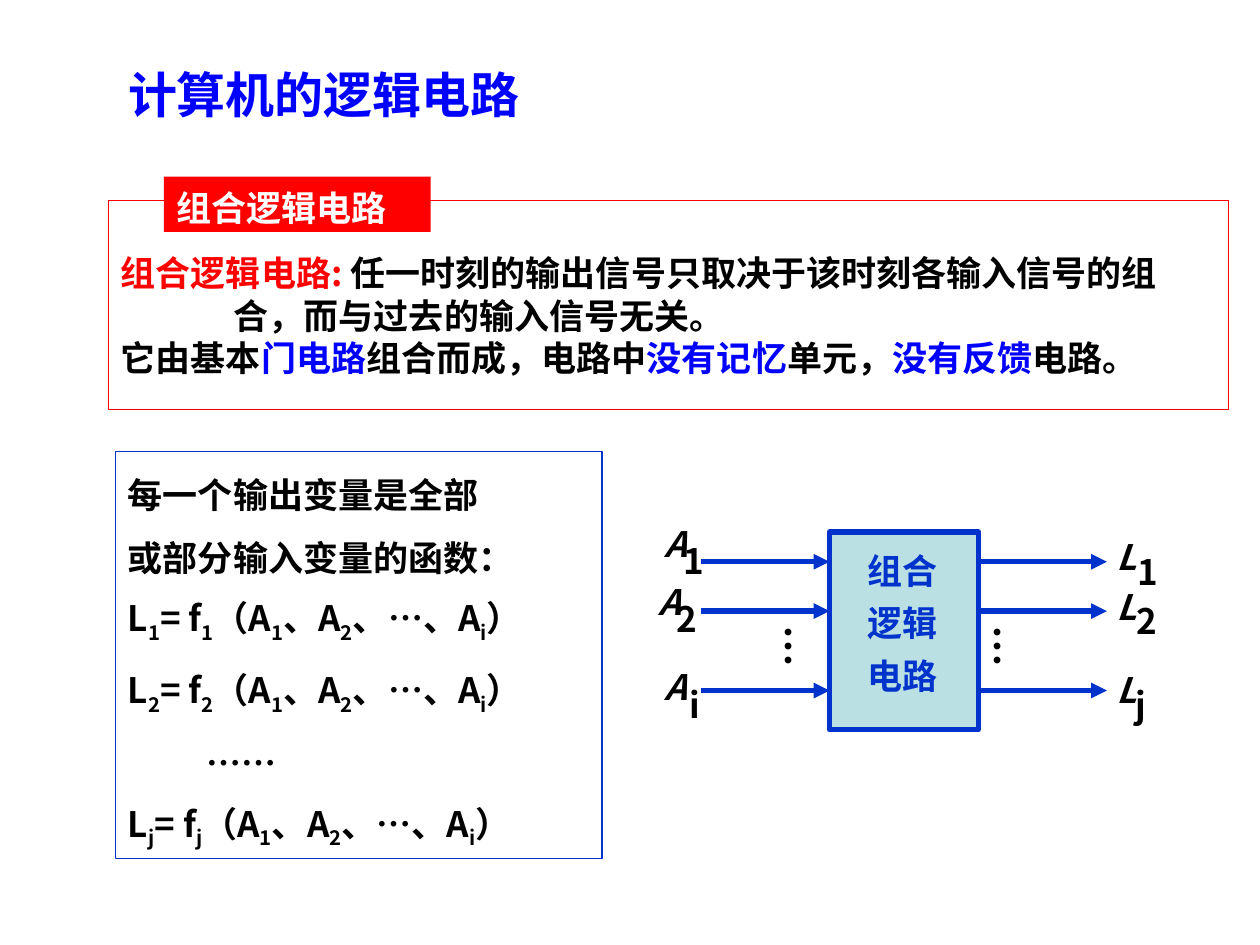
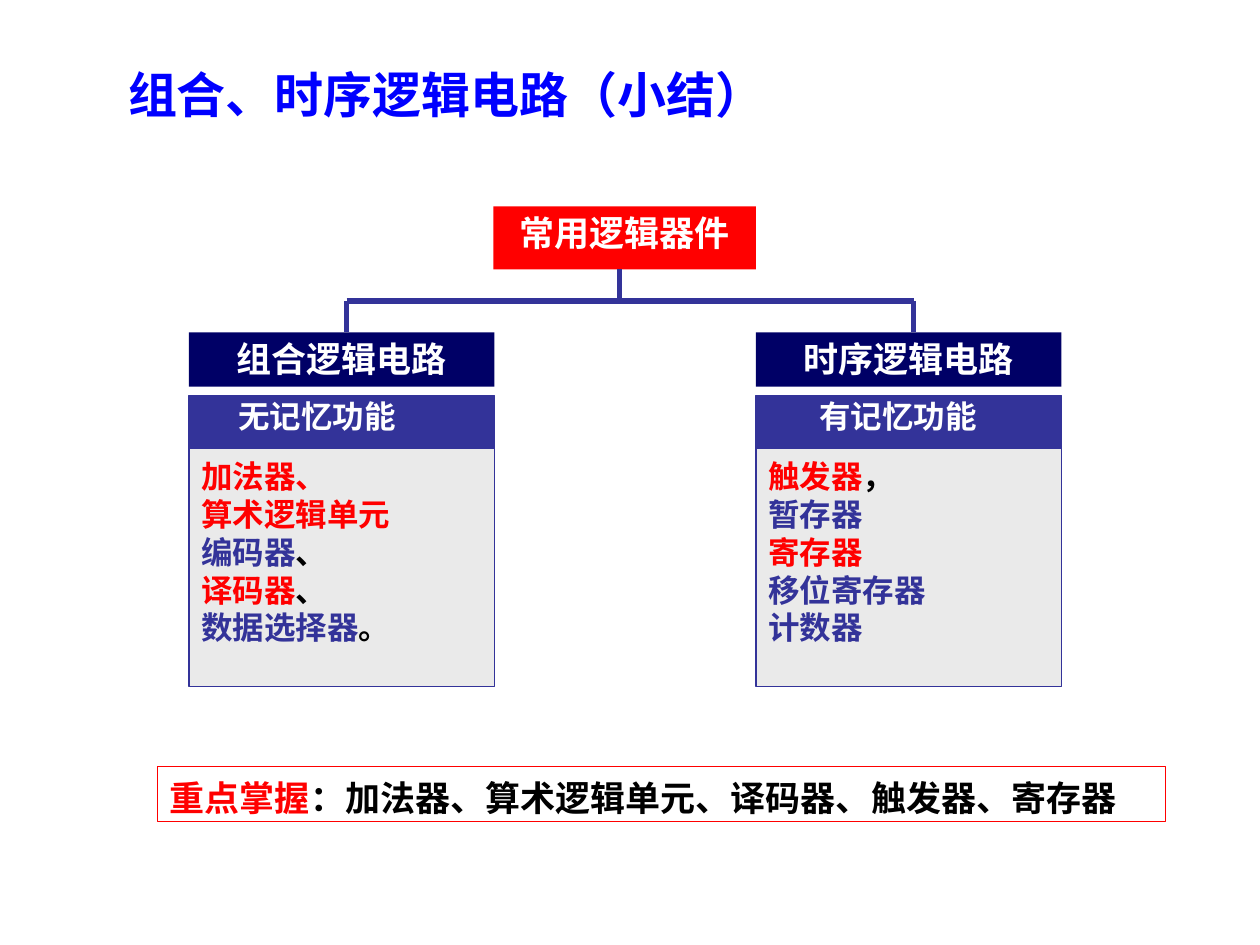
from dataclasses import dataclass

from pptx import Presentation
from pptx.dml.color import RGBColor
from pptx.enum.shapes import MSO_CONNECTOR, MSO_SHAPE
from pptx.enum.text import MSO_ANCHOR, MSO_AUTO_SIZE, PP_ALIGN
from pptx.oxml.ns import qn
from pptx.util import Pt
from lxml import etree

RECT = MSO_SHAPE.RECTANGLE
STRAIGHT = MSO_CONNECTOR.STRAIGHT
TOP = MSO_ANCHOR.TOP
LEFT, CENTER = PP_ALIGN.LEFT, PP_ALIGN.CENTER
NO_AUTOFIT = MSO_AUTO_SIZE.NONE
TITLE_ONLY = 5


@dataclass(frozen=True)
class Theme:
    font: str = "Noto Sans CJK SC"
    # Colours
    black: str = "000000"
    white: str = "FFFFFF"
    red: str = "FF0000"
    blue: str = "0000FF"
    circuit: str = "0033CC"
    block: str = "BBE0E3"
    navy: str = "000066"
    indigo: str = "333399"
    grey: str = "EAEAEA"
    # Type sizes
    title: int = 28
    dots: int = 24
    text: int = 20
    small: int = 18
    # Line height and first-line drop, as shares of the type size
    leading: float = 1.2
    drop: float = 0.09
    # Text insets and line widths
    inset_x: float = 7.2
    inset_y: float = 3.6
    thin: float = 0.75
    thick: float = 3


THEME = Theme()


def rgb(colour):
    return RGBColor.from_string(colour)


class Deck:
    """Holds the style and the slide being built."""

    def __init__(self, theme):
        self.theme = theme
        self.prs = Presentation()
        self.prs.slide_width, self.prs.slide_height = Pt(720), Pt(540)
        self.slide = None

    def new_slide(self, title):
        layout = self.prs.slide_layouts[TITLE_ONLY]
        self.slide = self.prs.slides.add_slide(layout)
        heading = self.slide.shapes.title
        heading.left, heading.top = Pt(66), Pt(31)
        heading.width, heading.height = Pt(600), Pt(41)
        self.fill_text(heading, [title], self.theme.blue, self.theme.title)

    def style_run(self, run, size, colour, italic=False, subscript=False):
        font = run.font
        font.size, font.bold, font.italic = Pt(size), True, italic
        font.color.rgb = rgb(colour)
        font.name = self.theme.font
        properties = run._r.get_or_add_rPr()
        etree.SubElement(properties, qn("a:ea"), typeface=self.theme.font)
        if subscript:
            properties.set("baseline", "-25000")

    def fill_text(self, shape, lines, colour, size, align=LEFT, line=None,
                  gaps=(), indents=(), inset=None, wrap=True, italic=False):
        """A line is a string, with _x_ for a subscript, or (text, colour) pairs."""
        theme = self.theme
        inset_x, inset_y = inset or (theme.inset_x, theme.inset_y)
        frame = shape.text_frame
        frame.auto_size, frame.word_wrap = NO_AUTOFIT, wrap
        frame.vertical_anchor = TOP
        frame.margin_left = frame.margin_right = Pt(inset_x)
        frame.margin_top = Pt(inset_y + theme.drop * size)
        frame.margin_bottom = 0
        for number, content in enumerate(lines):
            paragraph = frame.paragraphs[0] if number == 0 else frame.add_paragraph()
            paragraph.alignment = align
            paragraph.line_spacing = Pt(line or theme.leading * size)
            paragraph.space_before = Pt(gaps[number] if gaps else 0)
            if indents:
                settings = paragraph._p.get_or_add_pPr()
                settings.set("marL", str(Pt(indents[number])))
                settings.set("indent", "0")
            if isinstance(content, str):
                pieces = [(text, colour, place % 2 == 1)
                          for place, text in enumerate(content.split("_"))]
            else:
                pieces = [(text, tint, False) for text, tint in content]
            for text, tint, subscript in pieces:
                run = paragraph.add_run()
                run.text = text
                self.style_run(run, size, tint, italic, subscript)

    def box(self, x, y, width, height, fill=None, line=None, weight=None):
        shape = self.slide.shapes.add_shape(RECT, Pt(x), Pt(y), Pt(width), Pt(height))
        shape.shadow.inherit = False
        if fill:
            shape.fill.solid()
            shape.fill.fore_color.rgb = rgb(fill)
        else:
            shape.fill.background()
        if line:
            shape.line.color.rgb = rgb(line)
            shape.line.width = Pt(weight or self.theme.thin)
        else:
            shape.line.fill.background()
        return shape

    def label(self, x, y, width, height, text, size, rotation=0, italic=False):
        label = self.slide.shapes.add_textbox(Pt(x), Pt(y), Pt(width), Pt(height))
        label.rotation = rotation
        self.fill_text(label, [text], self.theme.black, size, inset=(0, 0),
                       wrap=False, italic=italic)

    def connect(self, x1, y1, x2, y2, colour, arrow=False):
        connector = self.slide.shapes.add_connector(
            STRAIGHT, Pt(x1), Pt(y1), Pt(x2), Pt(y2))
        connector.line.color.rgb = rgb(colour)
        connector.line.width = Pt(self.theme.thick)
        properties = connector._element.spPr
        if arrow:
            etree.SubElement(properties.find(qn("a:ln")), qn("a:tailEnd"),
                             type="triangle")
        etree.SubElement(properties, qn("a:effectLst"))


def combinational_slide(deck):
    t = deck.theme
    deck.new_slide("计算机的逻辑电路")

    # Definition with its red heading
    definition = deck.box(62, 114.5, 640, 119.5, t.white, t.red)
    deck.fill_text(definition, [
        [("组合逻辑电路: ", t.red),
         ("任一时刻的输出信号只取决于该时刻各输入信号的组", t.black)],
        "合，而与过去的输入信号无关。",
        [("它由基本", t.black), ("门电路", t.blue),
         ("组合而成，电路中", t.black), ("没有记忆", t.blue),
         ("单元，", t.black), ("没有反馈", t.blue), ("电路。", t.black)],
    ], t.black, t.text, line=19.2, gaps=(0, 5, 5), indents=(0, 64.5, 0),
        inset=(t.inset_x, 32.5))
    heading = deck.box(93.6, 101, 152.5, 31.5, t.red)
    deck.fill_text(heading, ["组合逻辑电路"], t.white, t.text)

    # Output functions
    functions = deck.box(66, 258, 278, 232.5, line=t.circuit)
    formulas = [f"L_{k}_= f_{k}_（A_1_、A_2_、…、A_i_）" for k in "12j"]
    deck.fill_text(functions, [
        "每一个输出变量是全部", "或部分输入变量的函数：",
        *formulas[:2], "……", formulas[2],
    ], t.black, t.text, line=31.2, gaps=(0, 5, 6, 10, 7, 7),
        indents=(0, 0, 0, 0, 45, 0))

    # Circuit block
    block_left, block_width, arrow_length = 474, 85, 73.5
    block = deck.box(block_left, 304, block_width, 113, t.block, t.circuit, t.thick)
    deck.fill_text(block, ["组合", "逻辑", "电路"], t.circuit, t.text, line=30,
                   inset=(21.6, 2))
    for dots_left in (436, 555.5):
        deck.label(dots_left, 355, 24, 29, "…", t.dots, rotation=270)

    # Signals: letter, index, letter position, index offset
    signals = [
        ("A", "1", 379.5, 296.5, 11, 10), ("A", "2", 376.5, 330, 10, 9.5),
        ("A", "i", 379.5, 378.5, 14.5, 10), ("L", "1", 638, 304, 12, 8.5),
        ("L", "2", 638, 332.5, 11.5, 8.5), ("L", "j", 638, 380, 11, 8.5),
    ]
    for letter, index, x, y, dx, dy in signals:
        deck.label(x, y, 13, 24, letter, t.text, italic=True)
        deck.label(x + dx, y + dy, 12, 24, index, t.text)
    for start in (block_left - arrow_length, block_left + block_width):
        for y in (321, 349.2, 394.6):
            deck.connect(start, y, start + arrow_length, y, t.circuit, arrow=True)


def summary_slide(deck):
    t = deck.theme
    deck.new_slide("组合、时序逻辑电路（小结）")
    left_column, right_column, column_width = 108, 432, 174.5

    # Root and tree lines
    devices = deck.box(282, 118, 150, 36, t.red)
    deck.fill_text(devices, ["常用逻辑器件"], t.white, t.text, CENTER, line=21.6)
    left_branch, right_branch, trunk = 198, 522, 354
    deck.connect(trunk, 154, trunk, 172, t.indigo)
    deck.connect(left_branch, 172, right_branch, 172, t.indigo)
    for branch in (left_branch, right_branch):
        deck.connect(branch, 172, branch, 190, t.indigo)

    # The two kinds of circuit
    kinds = [
        (left_column, "组合逻辑电路", "无记忆功能", 21, [
            [("加法器、", t.red)],
            [("算术逻辑单元", t.red)],
            [("编码器", t.indigo), ("、", t.black)],
            [("译码器", t.red), ("、", t.black)],
            [("数据选择器", t.indigo), ("。", t.black)]]),
        (right_column, "时序逻辑电路", "有记忆功能", 29, [
            [("触发器", t.red), ("，", t.black)],
            [("暂存器", t.indigo)],
            [("寄存器", t.red)],
            [("移位寄存器", t.indigo)],
            [("计数器", t.indigo)]]),
    ]
    for x, kind, memory, memory_indent, examples in kinds:
        kind_header = deck.box(x, 190, column_width, 31, t.navy)
        deck.fill_text(kind_header, [kind], t.white, t.text, CENTER, line=21.6)
        example_list = deck.box(x, 256, column_width, 136.5, t.grey, t.indigo)
        deck.fill_text(example_list, examples, t.black, t.small)
        memory_band = deck.box(x, 226, column_width, 30, t.indigo, t.indigo)
        deck.fill_text(memory_band, [memory], t.white, t.small, line=17.3,
                       indents=(memory_indent,))

    # Key points
    key_points = deck.box(90, 438, 576, 31.5, line=t.red)
    deck.fill_text(key_points, [[
        ("重点掌握", t.red),
        ("：加法器、算术逻辑单元、译码器、触发器、寄存器", t.black),
    ]], t.black, t.text)


def main():
    deck = Deck(THEME)
    combinational_slide(deck)
    summary_slide(deck)
    deck.prs.save("out.pptx")


if __name__ == "__main__":
    main()
